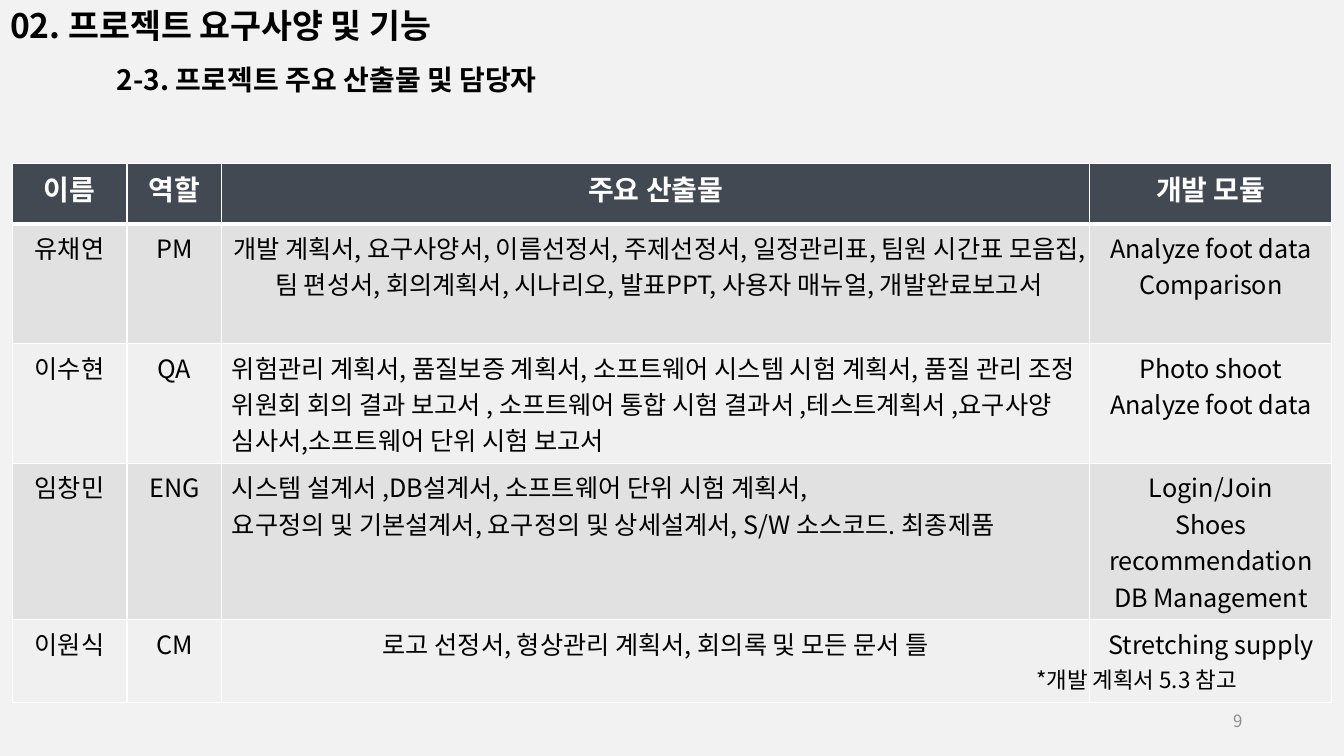
from lxml import etree
from pptx import Presentation
from pptx.dml.color import RGBColor
from pptx.enum import text
from pptx.oxml import ns
from pptx.util import Inches, Pt

FONT = "Noto Sans CJK KR"
WIDTH, HEIGHT = 13.33, 7.5
LEFT, CENTER, RIGHT = text.PP_ALIGN.LEFT, text.PP_ALIGN.CENTER, text.PP_ALIGN.RIGHT

HEADING = "02. 프로젝트 요구사양 및 기능"
SUBHEADING = "2-3. 프로젝트 주요 산출물 및 담당자"
NOTE = "*개발 계획서 5.3 참고"
PAGE = "9"
HEADER = ["이름", "역할", "주요 산출물", "개발 모듈"]
MEMBERS = [
    ["유채연", "PM",
     "개발 계획서, 요구사양서, 이름선정서, 주제선정서, 일정관리표, 팀원 시간표 모음집, "
     "팀 편성서, 회의계획서, 시나리오, 발표PPT, 사용자 매뉴얼, 개발완료보고서",
     "Analyze foot data\nComparison"],
    ["이수현", "QA",
     "위험관리 계획서, 품질보증 계획서, 소프트웨어 시스템 시험 계획서, 품질 관리 조정 위원회 "
     "회의 결과 보고서 , 소프트웨어 통합 시험 결과서 ,테스트계획서 ,요구사양 심사서,"
     "소프트웨어 단위 시험 보고서",
     "Photo shoot\nAnalyze foot data"],
    ["임창민", "ENG",
     "시스템 설계서 ,DB설계서, 소프트웨어 단위 시험 계획서,\n"
     "요구정의 및 기본설계서, 요구정의 및 상세설계서, S/W 소스코드. 최종제품",
     "Login/Join\nShoes recommendation\nDB Management"],
    ["이원식", "CM", "로고 선정서, 형상관리 계획서, 회의록 및 모든 문서 틀",
     "Stretching supply"],
]
LEFT_ALIGNED = {(2, 2), (3, 2)}  # row, column
COLUMNS = [1.14, 0.94, 8.61, 2.4]
ROWS = [0.6, 1.19, 1.19, 1.55, 0.82]


def color(value):
    return RGBColor.from_string(value)


def write(paragraph, content, size=18, ink="000000", bold=False, align=LEFT):
    run = paragraph.add_run()
    run.text = content
    run.font.size, run.font.bold = Pt(size), bold
    run.font.color.rgb = color(ink)
    run.font.name = FONT
    properties = run.font._element
    properties.set("kern", "0")
    etree.SubElement(properties, ns.qn("a:ea"), typeface=FONT)
    paragraph.alignment = align


def write_lines(frame, content, **style):
    for index, line in enumerate(content.split("\n")):
        paragraph = frame.add_paragraph() if index else frame.paragraphs[0]
        write(paragraph, line, **style)


def add_label(slide, box, content, anchor=text.MSO_ANCHOR.TOP, **style):
    frame = slide.shapes.add_textbox(*map(Inches, box)).text_frame
    frame.word_wrap = True
    frame.vertical_anchor = anchor
    write_lines(frame, content, **style)


def set_borders(cell, bottom):
    properties = cell._tc.get_or_add_tcPr()
    for index, (side, width) in enumerate(zip("LRTB", (1, 1, 1, bottom))):
        line = etree.Element(ns.qn(f"a:ln{side}"), w=str(Pt(width)))
        fill = etree.SubElement(line, ns.qn("a:solidFill"))
        etree.SubElement(fill, ns.qn("a:srgbClr"), val="FFFFFF")
        properties.insert(index, line)


def add_heading(slide):
    title = slide.shapes.title
    title.left, title.top = 0, 0
    title.width, title.height = Inches(WIDTH / 2), Inches(HEIGHT / 8)
    frame = title.text_frame
    frame.word_wrap = True
    frame.auto_size = text.MSO_AUTO_SIZE.NONE
    frame.vertical_anchor = text.MSO_ANCHOR.TOP
    write(frame.paragraphs[0], HEADING, size=24, bold=True)
    subheading = frame.add_paragraph()
    write(subheading, SUBHEADING, size=20, bold=True)
    subheading.line_spacing = 1.5
    subheading._p.get_or_add_pPr().set("marL", str(Inches(1.06)))


def add_member_table(slide):
    table = slide.shapes.add_table(
        len(ROWS), len(COLUMNS), Inches(0.12), Inches(1.62),
        Inches(sum(COLUMNS)), Inches(sum(ROWS))).table
    for column, width in zip(table.columns, COLUMNS):
        column.width = Inches(width)
    for row, height in zip(table.rows, ROWS):
        row.height = Inches(height)
    for r, values in enumerate([HEADER] + MEMBERS):
        for c, value in enumerate(values):
            cell = table.cell(r, c)
            if r == 0:
                fill, style = "424953", dict(size=20, ink="FFFFFF", bold=True)
            else:
                fill, style = ("E1E1E1" if r % 2 else "F0F0F0"), {}
            cell.fill.solid()
            cell.fill.fore_color.rgb = color(fill)
            set_borders(cell, bottom=1 if r else 3)
            align = LEFT if (r, c) in LEFT_ALIGNED else CENTER
            write_lines(cell.text_frame, value, align=align, **style)


def main():
    presentation = Presentation()
    presentation.slide_width = Inches(WIDTH)
    presentation.slide_height = Inches(HEIGHT)
    slide = presentation.slides.add_slide(presentation.slide_layouts[5])
    slide.background.fill.solid()
    slide.background.fill.fore_color.rgb = color("F2F2F2")
    add_label(slide, (9.42, 6.95, 3, 0.4), PAGE, size=12, ink="8C8C8C",
              align=RIGHT, anchor=text.MSO_ANCHOR.MIDDLE)
    add_member_table(slide)
    add_label(slide, (10.18, 6.56, 3.63, 0.37), NOTE, size=16)
    add_heading(slide)
    presentation.save("out.pptx")


if __name__ == "__main__":
    main()
